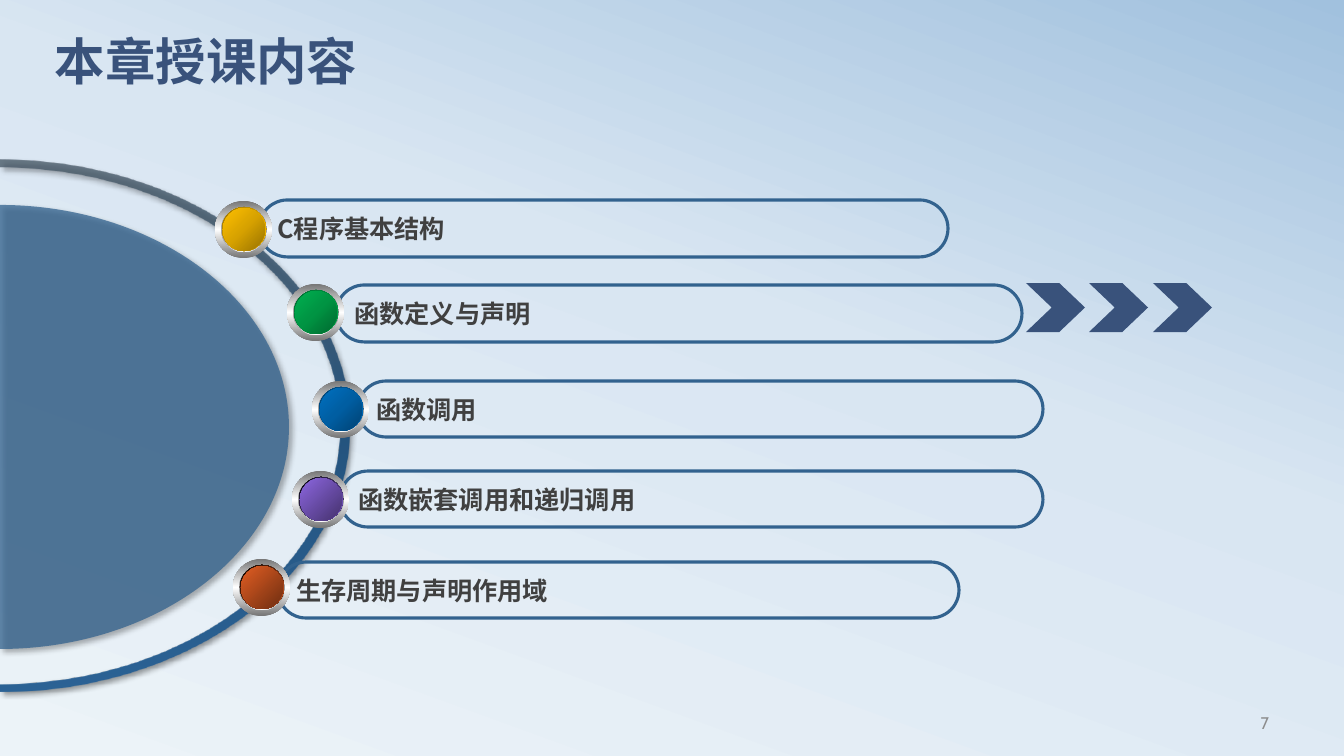
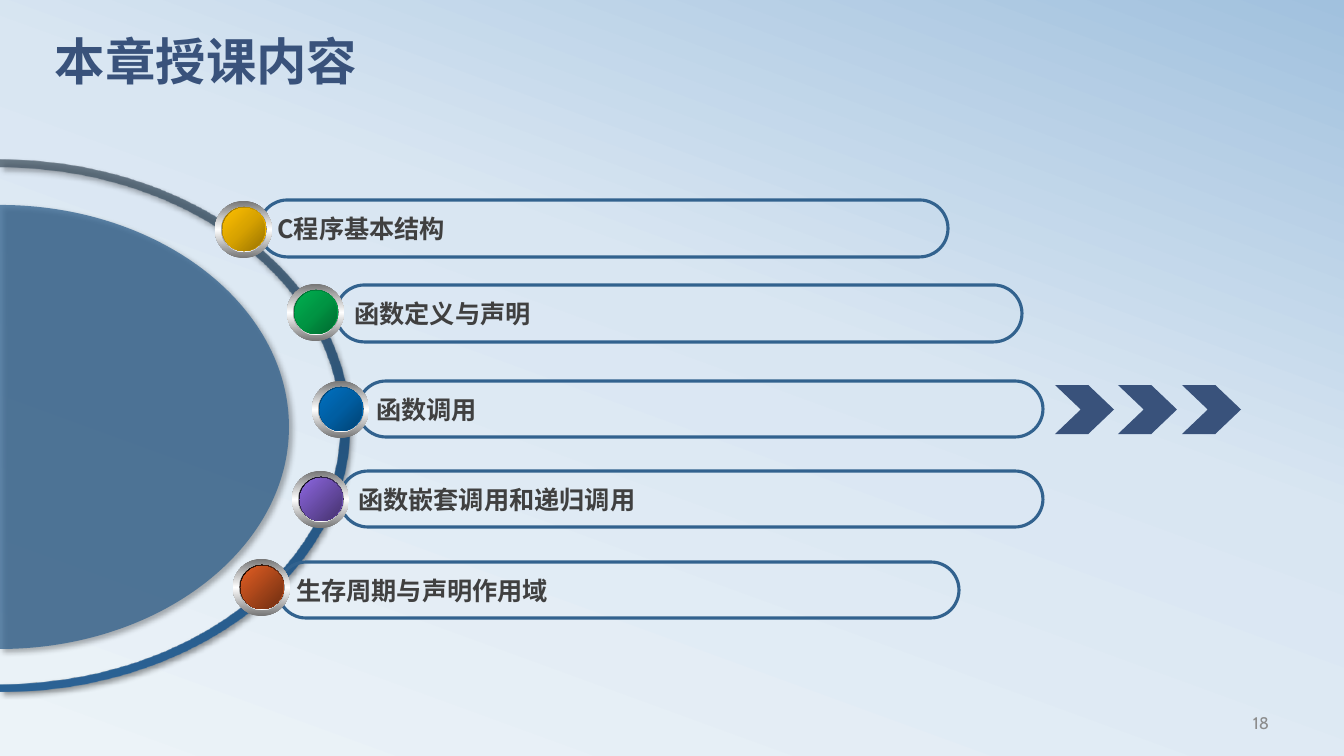
import lxml.etree
import pptx
import pptx.dml.color
import pptx.enum.lang
import pptx.enum.shapes
import pptx.enum.text
import pptx.oxml.ns
import pptx.util

PX = 9071
ROUNDNESS = 0.55
RGB = pptx.dml.color.RGBColor
SHAPE = pptx.enum.shapes.MSO_SHAPE
ALIGN = pptx.enum.text.PP_ALIGN
ANCHOR = pptx.enum.text.MSO_ANCHOR
qn = pptx.oxml.ns.qn

NAVY = RGB(0x39, 0x52, 0x7B)
STEEL = RGB(0x32, 0x62, 0x8E)
INK = RGB(0x40, 0x40, 0x40)
GRAY = RGB(0x8C, 0x8C, 0x8C)
BLACK = RGB(0, 0, 0)
WHITE = RGB(0xFF, 0xFF, 0xFF)
METAL = RGB(0x76, 0x76, 0x76)
SILVER = RGB(0xA2, 0xA2, 0xA2)
ORANGE = RGB(0xE3, 0x5E, 0x23)
RUST = RGB(0x6E, 0x2E, 0x11)
PURPLE = RGB(0x8D, 0x67, 0xE1)
PLUM = RGB(0x45, 0x32, 0x6D)
GREENS = RGB(0x00, 0x68, 0x2F), RGB(0x00, 0x94, 0x43), RGB(0x00, 0xB0, 0x50)
GOLDS = RGB(0x97, 0x72, 0x00), RGB(0xD7, 0xA2, 0x00), RGB(0xFF, 0xC0, 0x00)
BLUES = RGB(0x00, 0x42, 0x72), RGB(0x00, 0x5E, 0xA2), RGB(0x00, 0x70, 0xC0)
SKY = RGB(0xEC, 0xF3, 0xF8), RGB(0xD9, 0xE6, 0xF2), RGB(0xA1, 0xC1, 0xDE)
ARC = RGB(0x44, 0x54, 0x62), RGB(0x24, 0x53, 0x7D), RGB(0x2B, 0x62, 0x95)

LATIN_FONT = "Cabin"
CHINESE_FONT = "Noto Sans CJK SC"
CORNER = "corner"


def paint_gradient(owner, colors, angle, middle=50, first_alpha=100):
    solid = next(owner.iter(qn("a:solidFill")))
    gradient = lxml.etree.Element(qn("a:gradFill"), rotWithShape="1")
    stops = lxml.etree.SubElement(gradient, qn("a:gsLst"))
    positions = (0, middle, 100) if len(colors) == 3 else (0, 100)
    for position, color in zip(positions, colors):
        stop = lxml.etree.SubElement(stops, qn("a:gs"), pos=str(position * 1000))
        value = lxml.etree.SubElement(stop, qn("a:srgbClr"), val=str(color))
        if position == 0 and first_alpha < 100:
            lxml.etree.SubElement(value, qn("a:alpha"), val=str(first_alpha * 1000))
    if angle == CORNER:
        radial = lxml.etree.SubElement(gradient, qn("a:path"), path="circle")
        lxml.etree.SubElement(radial, qn("a:fillToRect"), l="100000", t="100000")
    else:
        lxml.etree.SubElement(gradient, qn("a:lin"), ang=str(angle * 60000), scaled="0")
    solid.getparent().replace(solid, gradient)


def write(frame, text, font_name, size, color, bold=False, anchor=ANCHOR.MIDDLE):
    frame.word_wrap = True
    frame.vertical_anchor = anchor
    paragraph = frame.paragraphs[0]
    paragraph.text = text
    paragraph.alignment = ALIGN.LEFT
    font = paragraph.font
    font.name = font_name
    font.size = pptx.util.Pt(size)
    font.bold = bold
    font.color.rgb = color
    font.language_id = pptx.enum.lang.MSO_LANGUAGE_ID.SIMPLIFIED_CHINESE
    properties = next(paragraph._p.iter(qn("a:defRPr")))
    lxml.etree.SubElement(properties, qn("a:ea"), typeface=CHINESE_FONT)
    return paragraph


topics = [
    ("生存周期与声明作用域", (278, 562, 681, 56)),
    ("函数嵌套调用和递归调用", (340, 471, 703, 56)),
    ("函数调用", (358, 381, 685, 56)),
    ("函数定义与声明", (336, 285, 686, 57)),
    ("C程序基本结构", (259, 200, 689, 57)),
]
buttons = [
    (233, 559, (BLACK, ORANGE), (ORANGE, RUST), 45),
    (292, 471, (BLACK, PURPLE), (PURPLE, PLUM), 45),
    (287, 284, GREENS, GREENS, CORNER),
    (215, 201, GOLDS, GOLDS, CORNER),
    (312, 381, BLUES, BLUES, CORNER),
]
pages = [("7", 1026, 283), ("18", 1055, 385)]
ring_corners = [(0, 168), (339, 426), (0, 683), (0, 691), (349, 426), (0, 160)]
dome_corners = [(0, 205), (289, 427), (0, 649)]

deck = pptx.Presentation()
deck.slide_width = 1344 * PX
deck.slide_height = 756 * PX
master = deck.slide_master
master.background.fill.solid()
master.background.fill.fore_color.rgb = SKY[0]
paint_gradient(master.element, SKY, 290, middle=58)

for number, chevrons_left, chevrons_top in pages:
    slide = deck.slides.add_slide(deck.slide_layouts[6])
    shapes = slide.shapes

    page_number = shapes.add_textbox(966 * PX, 703 * PX, 313 * PX, 40 * PX)
    write(page_number.text_frame, number, LATIN_FONT, 12, GRAY).alignment = ALIGN.RIGHT
    title = shapes.add_textbox(45 * PX, 37 * PX, 1210 * PX, 95 * PX)
    heading = write(title.text_frame, "本章授课内容", LATIN_FONT, 36, NAVY, True, ANCHOR.TOP)
    heading.line_spacing = 0.8

    for corners in (ring_corners, dome_corners):
        builder = shapes.build_freeform(*corners[0], scale=PX)
        builder.add_line_segments(corners[1:], close=True)
        arc = builder.convert_to_shape()
        top = min(y for x, y in corners)
        sides = list(arc._element.iter(qn("a:lnTo")))
        for (x0, y0), (x1, y1), side in zip(corners, corners[1:], sides):
            if x0 == x1:
                continue
            dx, dy = (x1 - x0) * ROUNDNESS, (y1 - y0) * ROUNDNESS
            if x0 == 0:
                controls = [(x0 + dx, y0), (x1, y1 - dy)]
            else:
                controls = [(x0, y0 + dy), (x1 - dx, y1)]
            curve = lxml.etree.Element(qn("a:cubicBezTo"))
            grid = arc._element.find(".//" + qn("a:path"))
            unit = int(grid.get("h")) / (max(y for x, y in corners) - top)
            for x, y in controls + [(x1, y1)]:
                lxml.etree.SubElement(
                    curve, qn("a:pt"), x=str(round(x * unit)), y=str(round((y - top) * unit))
                )
            side.getparent().replace(side, curve)
        arc.fill.solid()
        arc.fill.fore_color.rgb = STEEL
        arc.line.fill.background()
        if corners is ring_corners:
            paint_gradient(arc._element.spPr, ARC, 90, first_alpha=75)
        else:
            steel = next(arc._element.spPr.iter(qn("a:srgbClr")))
            lxml.etree.SubElement(steel, qn("a:alpha"), val="75000")
        arc.shadow.inherit = False
        effects = arc._element.spPr.find(qn("a:effectLst"))
        shadow = lxml.etree.SubElement(
            effects, qn("a:outerShdw"), blurRad="50800", dist="38100", dir="2700000"
        )
        shade = lxml.etree.SubElement(shadow, qn("a:srgbClr"), val=str(BLACK))
        lxml.etree.SubElement(shade, qn("a:alpha"), val="40000")

    for topic, box in topics:
        bar = shapes.add_shape(SHAPE.ROUNDED_RECTANGLE, *[length * PX for length in box])
        bar.adjustments[0] = 0.5
        bar.shadow.inherit = False
        bar.fill.background()
        bar.line.color.rgb = STEEL
        bar.line.width = pptx.util.Pt(2.25)
        write(bar.text_frame, topic, CHINESE_FONT, 18, INK, True)

    for left, top, rim, face, face_angle in buttons:
        for dx, dy, width, height, colors, angle in [
            (0, 0, 57, 57, (METAL, WHITE, METAL), 90),
            (6, 6, 46, 45, (SILVER, WHITE, SILVER), 0),
            (7, 6, 44, 44, rim, 45),
            (8, 7, 42, 43, face, face_angle),
        ]:
            disc = shapes.add_shape(
                SHAPE.OVAL, (left + dx) * PX, (top + dy) * PX, width * PX, height * PX
            )
            disc.shadow.inherit = False
            disc.line.fill.background()
            disc.fill.solid()
            disc.fill.fore_color.rgb = colors[0]
            paint_gradient(disc._element.spPr, colors, angle)

    for step in range(3):
        chevron_left = chevrons_left + step * 127 // 2
        chevron = shapes.add_shape(
            SHAPE.CHEVRON, chevron_left * PX, chevrons_top * PX, 59 * PX, 49 * PX
        )
        chevron.adjustments[0] = 0.525
        chevron.shadow.inherit = False
        chevron.fill.solid()
        chevron.fill.fore_color.rgb = NAVY
        chevron.line.fill.background()

deck.save("out.pptx")
